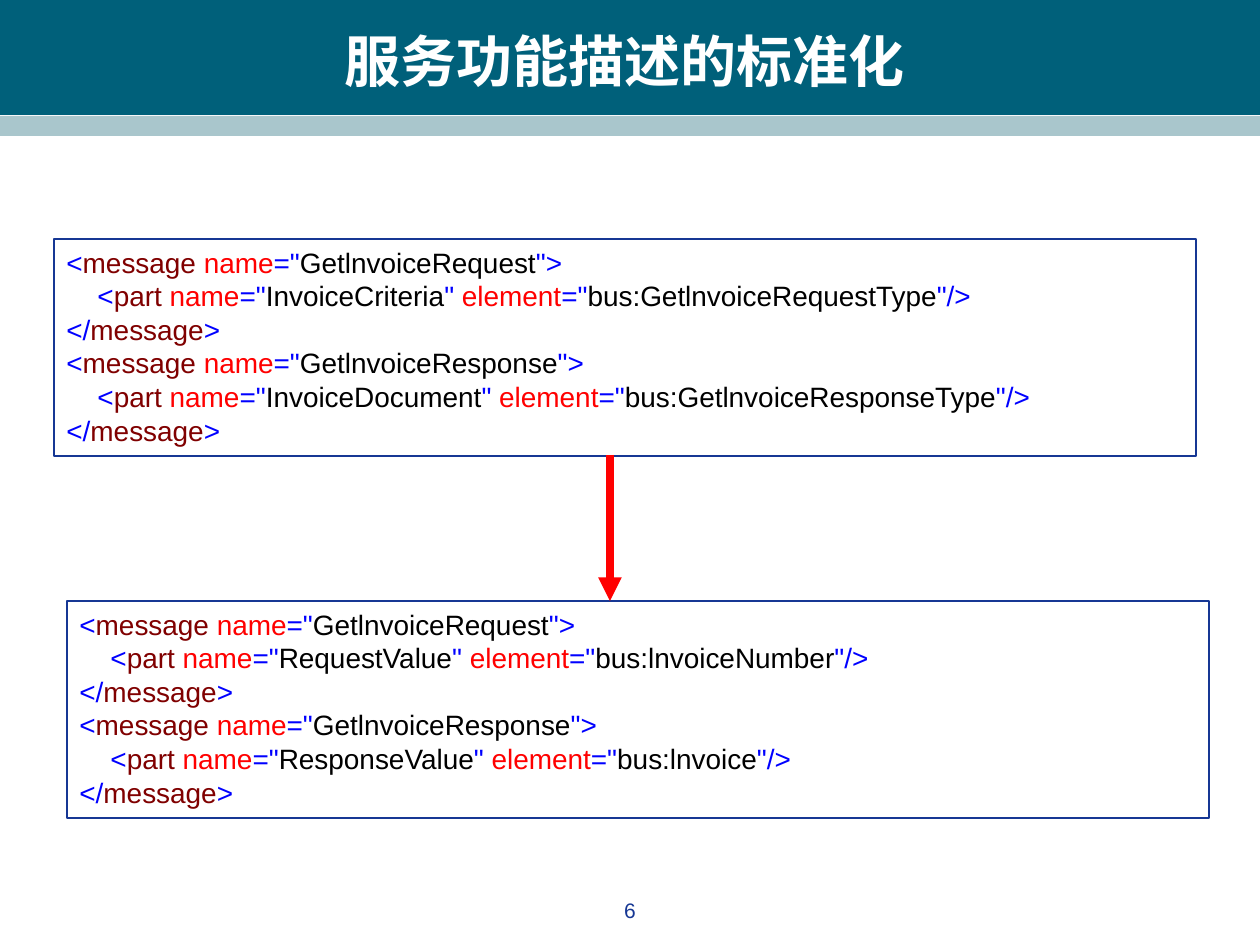
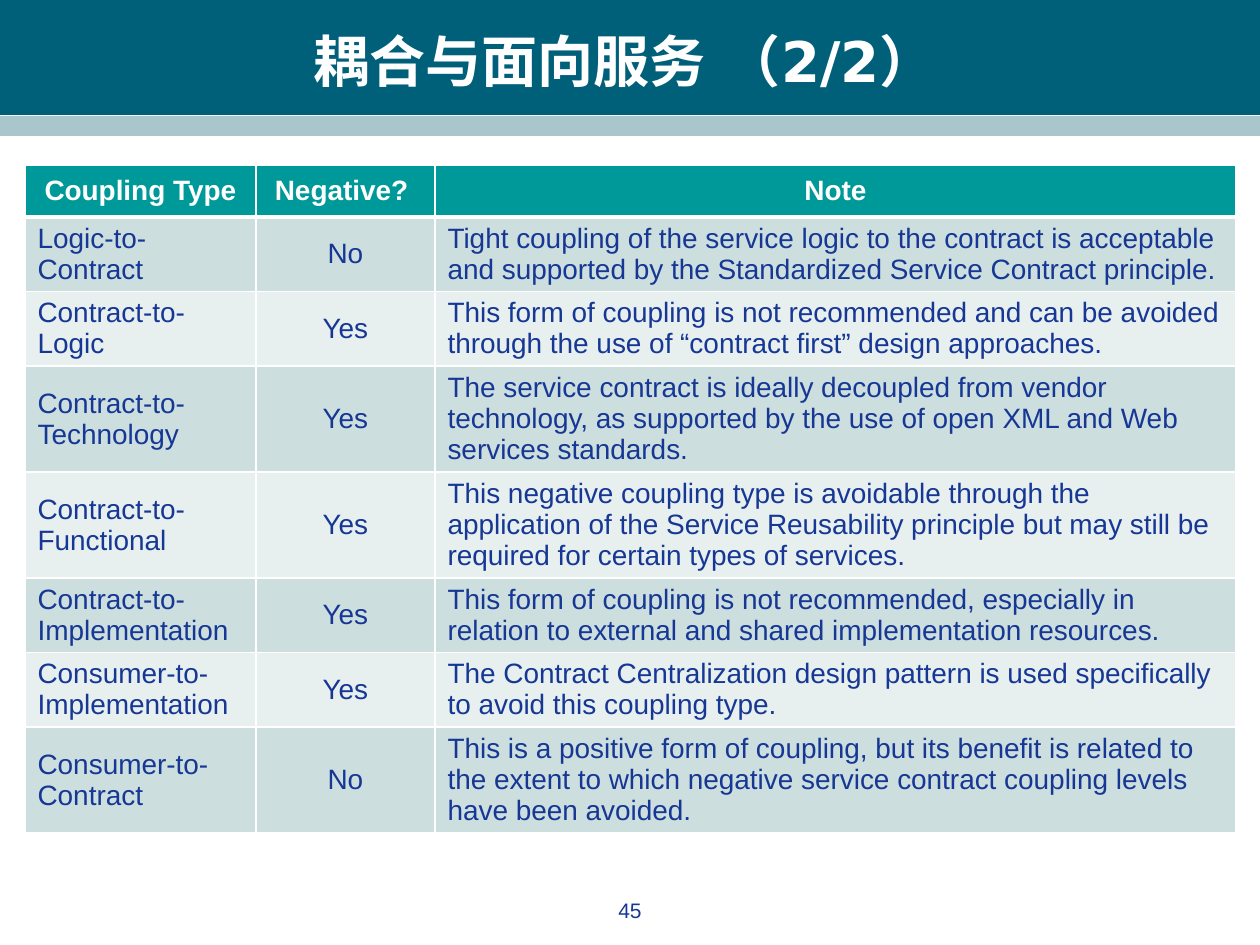
from lxml import etree
from pptx import Presentation
from pptx.dml.color import RGBColor
from pptx.enum.shapes import MSO_CONNECTOR as Connector, MSO_SHAPE as Shape
from pptx.enum.text import MSO_ANCHOR as Anchor, MSO_AUTO_SIZE as AutoSize, PP_ALIGN as Align
from pptx.oxml import parse_xml
from pptx.oxml.ns import nsdecls, qn
from pptx.util import Emu, Pt

EMU_PER_PX = 914400 / 126

WHITE = RGBColor(0xFF, 0xFF, 0xFF)
BLACK = RGBColor(0x00, 0x00, 0x00)
NAVY = RGBColor(0x16, 0x37, 0x94)
TEAL = RGBColor(0x00, 0x60, 0x7A)
MIST = RGBColor(0xA9, 0xC6, 0xCC)
HEADER = RGBColor(0x00, 0x99, 0x99)
ROW_FILLS = (RGBColor(0xCC, 0xDE, 0xDE), RGBColor(0xE7, 0xEF, 0xEF))
BLUE = RGBColor(0x00, 0x00, 0xFF)
MAROON = RGBColor(0x80, 0x00, 0x00)
RED = RGBColor(0xFF, 0x00, 0x00)

TITLE_FONT = dict(name="DejaVu Sans", size=Pt(32), bold=True)
BODY_FONT = dict(name="Arial", size=Pt(16), bold=False)
HEADER_FONT = dict(BODY_FONT, bold=True)
NUMBER_FONT = dict(name="Arial", size=Pt(12))
CODE_LINE = Pt(19.2)
TABLE_LINE = Pt(17.7)

ABSTRACT_MESSAGES = (
    ("GetlnvoiceRequest", "InvoiceCriteria", "bus:GetlnvoiceRequestType"),
    ("GetlnvoiceResponse", "InvoiceDocument", "bus:GetlnvoiceResponseType"),
)
CONCRETE_MESSAGES = (
    ("GetlnvoiceRequest", "RequestValue", "bus:lnvoiceNumber"),
    ("GetlnvoiceResponse", "ResponseValue", "bus:lnvoice"),
)
COUPLING_COLUMNS = (231, 179, 801)
COUPLING_HEIGHTS = (52, 74, 74, 106, 106, 74, 74, 106)
COUPLING_ROWS = (
    ("Coupling Type", "Negative? ", "Note"),
    ("Logic-to-\nContract", "No",
     "Tight coupling of the service logic to the contract is acceptable "
     "and supported by the Standardized Service Contract principle."),
    ("Contract-to-\nLogic", "Yes",
     "This form of coupling is not recommended and can be avoided "
     "through the use of “contract first” design approaches."),
    ("Contract-to-\nTechnology", "Yes",
     "The service contract is ideally decoupled from vendor technology, "
     "as supported by the use of open XML and Web services standards."),
    ("Contract-to-\nFunctional", "Yes",
     "This negative coupling type is avoidable through the application of the "
     "Service Reusability principle but may still be required for certain "
     "types of services."),
    ("Contract-to-\nImplementation", "Yes",
     "This form of coupling is not recommended, especially in relation to "
     "external and shared implementation resources."),
    ("Consumer-to-\nImplementation", "Yes",
     "The Contract Centralization design pattern is used specifically to "
     "avoid this coupling type."),
    ("Consumer-to-\nContract", "No",
     "This is a positive form of coupling, but its benefit is related to the "
     "extent to which negative service contract coupling levels have been avoided."),
)


def px(*lengths):
    return [Emu(round(length * EMU_PER_PX)) for length in lengths]


def assign(target, values):
    for key, value in values.items():
        setattr(target, key, value)


def style_font(font, color, values):
    assign(font, values)
    font.color.rgb = color


def tag_runs(opening, name, attributes, closing):
    runs = [(opening, BLUE), (name, MAROON)]
    for key, value in attributes:
        runs += [(f" {key}", RED), ('="', BLUE), (value, BLACK), ('"', BLUE)]
    return runs + [(closing, BLUE)]


def message_lines(messages):
    for name, part, element in messages:
        yield tag_runs("<", "message", [("name", name)], ">")
        yield tag_runs("    <", "part", [("name", part), ("element", element)], "/>")
        yield tag_runs("</", "message", [], ">")


class Deck:
    def __init__(self):
        self.presentation = Presentation()
        width, height = px(1260, 945)
        assign(self.presentation, dict(slide_width=width, slide_height=height))
        self.slide = None

    def start(self, heading, number):
        self.slide = self.presentation.slides.add_slide(self.presentation.slide_layouts[5])
        self.band(0, 115, TEAL)
        self.band(116, 20, MIST)
        self.title(heading)
        self.page_number(number)

    def rectangle(self, left, top, width, height):
        shape = self.slide.shapes.add_shape(Shape.RECTANGLE, *px(left, top, width, height))
        shape.shadow.inherit = False
        return shape

    def band(self, top, height, color):
        band = self.rectangle(0, top, 1260, height)
        band.fill.solid()
        band.fill.fore_color.rgb = color
        band.line.fill.background()

    def title(self, heading):
        title = self.slide.shapes.title
        left, top, width, height = px(42, 21, 1165, 78)
        assign(title, dict(left=left, top=top, width=width, height=height))
        frame = title.text_frame
        assign(frame, dict(text=heading, auto_size=AutoSize.NONE, vertical_anchor=Anchor.MIDDLE))
        line = frame.paragraphs[0]
        line.alignment = Align.CENTER
        font = line.runs[0].font
        style_font(font, WHITE, TITLE_FONT)
        etree.SubElement(line.runs[0]._r.rPr, qn("a:ea"), typeface=TITLE_FONT["name"])
        self.slide.shapes._spTree.append(title._element)

    def page_number(self, number):
        frame = self.slide.shapes.add_textbox(*px(483, 891, 294, 44)).text_frame
        assign(frame, dict(text=str(number), word_wrap=True))
        frame.paragraphs[0].alignment = Align.CENTER
        style_font(frame.paragraphs[0].runs[0].font, NAVY, NUMBER_FONT)

    def code_box(self, left, top, lines):
        box = self.rectangle(left, top, 1142, 217)
        box.fill.background()
        box.line.color.rgb = NAVY
        box.line.width = Pt(1.5)
        frame = box.text_frame
        assign(frame, dict(word_wrap=True, vertical_anchor=Anchor.TOP))
        for index, runs in enumerate(lines):
            line = frame.add_paragraph() if index else frame.paragraphs[0]
            assign(line, dict(alignment=Align.LEFT, line_spacing=CODE_LINE))
            for text, color in runs:
                run = line.add_run()
                run.text = text
                style_font(run.font, color, BODY_FONT)

    def down_arrow(self, x, top, bottom):
        arrow = self.slide.shapes.add_connector(Connector.STRAIGHT, *px(x, top, x, bottom))
        arrow.line.color.rgb = RED
        arrow.line.width = Pt(4.5)
        etree.SubElement(arrow.line._get_or_add_ln(), qn("a:tailEnd"), type="triangle")
        etree.SubElement(arrow._element.spPr, qn("a:effectLst"))

    def table(self, left, top, widths, heights, rows):
        frame = self.slide.shapes.add_table(
            len(rows), len(widths), *px(left, top, sum(widths), sum(heights)))
        table = frame.table
        table.horz_banding = False
        for column, width in zip(table.columns, px(*widths)):
            column.width = width
        for row, height in zip(table.rows, px(*heights)):
            row.height = height
        for r, texts in enumerate(rows):
            for c, text in enumerate(texts):
                self.cell(table.cell(r, c), text, r, c)

    def cell(self, cell, text, row, column):
        header = row == 0
        assign(cell, dict(text=text, vertical_anchor=Anchor.MIDDLE))
        cell.fill.solid()
        cell.fill.fore_color.rgb = HEADER if header else ROW_FILLS[(row - 1) % 2]
        centred = header or column == 1
        for line in cell.text_frame.paragraphs:
            assign(line, dict(alignment=Align.CENTER if centred else Align.LEFT,
                              line_spacing=TABLE_LINE))
            style_font(line.runs[0].font, WHITE if header else NAVY,
                       HEADER_FONT if header else BODY_FONT)
        thick_side = {0: "B", 1: "T"}.get(row)
        for index, side in enumerate("LRTB"):
            width = Pt(3 if side == thick_side else 1)
            cell._tc.get_or_add_tcPr().insert(index, parse_xml(
                f'<a:ln{side} {nsdecls("a")} w="{width}"><a:solidFill>'
                f'<a:srgbClr val="{WHITE}"/></a:solidFill></a:ln{side}>'))


def main():
    deck = Deck()

    deck.start("服务功能描述的标准化", 6)
    deck.code_box(54, 239, message_lines(ABSTRACT_MESSAGES))
    deck.code_box(67, 601, message_lines(CONCRETE_MESSAGES))
    deck.down_arrow(610, 455, 601)

    deck.start("耦合与面向服务 （2/2）", 45)
    deck.table(25, 165, COUPLING_COLUMNS, COUPLING_HEIGHTS, COUPLING_ROWS)

    deck.presentation.save("out.pptx")


if __name__ == "__main__":
    main()
